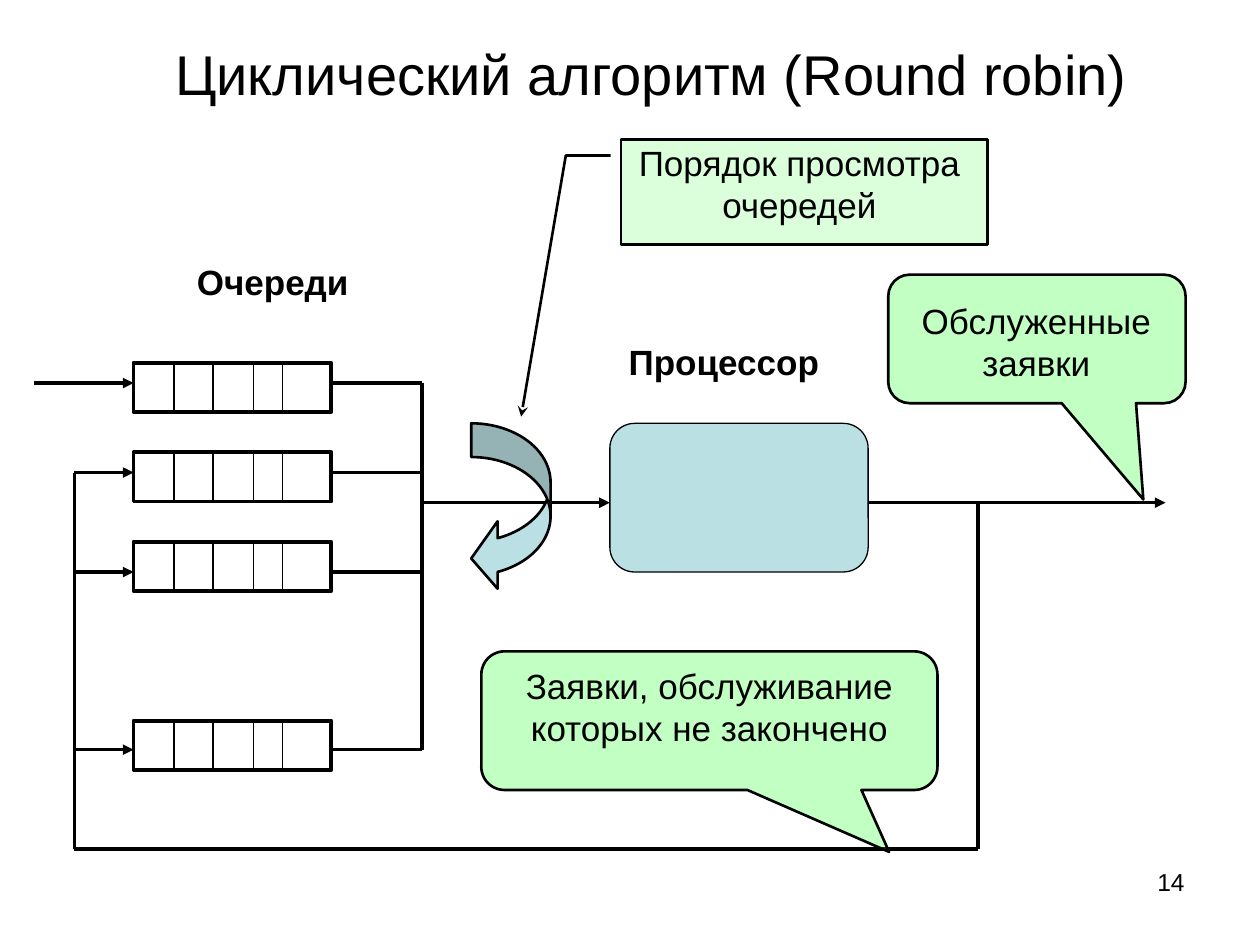
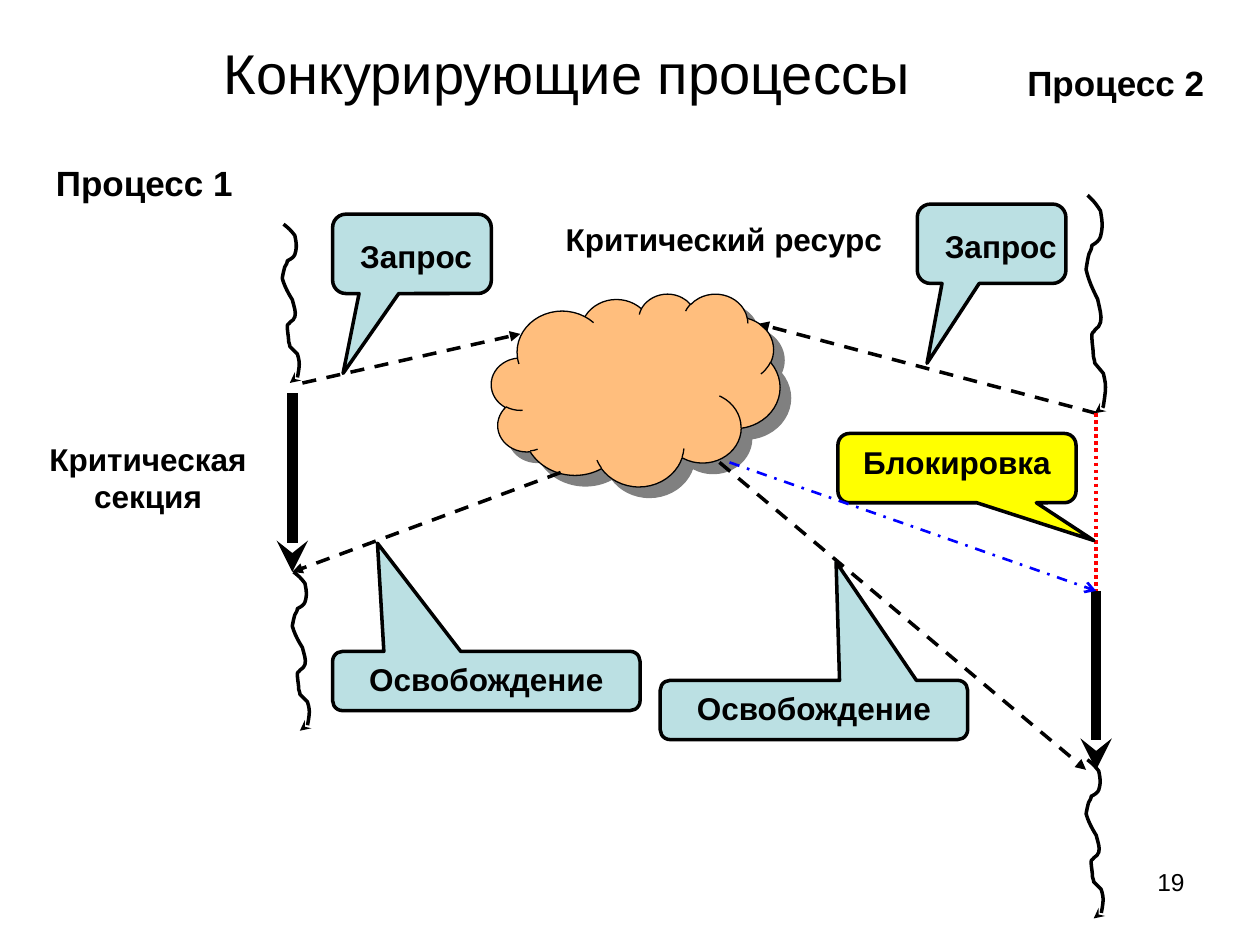
from dataclasses import dataclass
from typing import Any, NamedTuple

from lxml.etree import SubElement
from pptx import Presentation
from pptx.dml.color import RGBColor
from pptx.enum.dml import MSO_LINE as Dash
from pptx.enum.shapes import MSO_CONNECTOR as Conn, MSO_SHAPE as Geo
from pptx.enum.text import MSO_ANCHOR as Anchor, PP_ALIGN as Align
from pptx.oxml.ns import qn
from pptx.util import Inches, Pt

BLACK, BLUE, RED = "000000", "0000FF", "FF0000"
AQUA, GREEN, YELLOW, PEACH, GREY = "BBE0E3", "00FF00", "FFFF00", "FFBE7D", "808080"
FONT = "Arial"

QUEUE_LEFT, QUEUE_WIDTH, QUEUE_HEIGHT = 1.06, 1.57, 0.39
QUEUE_RIGHT = QUEUE_LEFT + QUEUE_WIDTH
CELL_EDGES = (1.38, 1.69, 2.01, 2.24)
MERGE_X, RETURN_X, BRANCH_X = 3.35, 0.59, 7.76
CPU_Y, RETURN_Y = 3.99, 6.74

WAVE_WIDTH, WAVE_HEIGHT, WAVE_STEPS = 14, 126, 6
WAVE_START = (1, 0)
WAVE_CURVES = (
    ((5, 3), (7, 5), (10, 9)), ((11, 14), (12, 18), (10, 24)),
    ((9, 27), (4, 29), (4, 29)), ((4, 31), (3, 32), (2, 34)),
    ((1, 37), (0, 43), (0, 43)), ((2, 50), (5, 55), (8, 60)),
    ((10, 68), (13, 74), (6, 78)), ((6, 79), (4, 79), (4, 81)),
    ((4, 85), (5, 89), (5, 92)), ((5, 94), (6, 95), (6, 97)),
    ((8, 99), (12, 103), (12, 103)), ((14, 110), (14, 111), (12, 122)),
    ((11, 125), (6, 126), (6, 126)),
)


class Box(NamedTuple):
    x: float
    y: float
    w: float
    h: float


class Queue(NamedTuple):
    top: float
    wire: float


QUEUES = (Queue(2.88, 3.04), Queue(3.59, 3.75), Queue(4.3, 4.54), Queue(5.72, 5.95))


@dataclass
class Label:
    text: str
    box: Box
    size: float = 20
    bold: bool = True
    align: Any = Align.CENTER
    wrap: bool = True


@dataclass
class Figure:
    geo: Any
    box: Box
    adj: tuple = ()
    fill: str = ""
    alpha: int = 100
    width: float = 2
    text: str = ""
    size: float = 18
    bold: bool = True
    tail: str = ""


@dataclass
class Wire:
    start: tuple
    end: tuple
    width: float = 2
    color: str = BLACK
    dash: Any = None
    tail: str = ""


def rgb(color: str) -> RGBColor:
    """Turn a hex string into a colour."""
    return RGBColor.from_string(color)


def inches(*values: float) -> list:
    """Turn numbers into lengths."""
    return [Inches(v) for v in values]


def apply(obj: Any, values: dict) -> None:
    """Set the attributes named in a dict."""
    for name, value in values.items():
        setattr(obj, name, value)


def write(tf: Any, text: str, size: float, bold: bool, align: Any,
          wrap: bool = True, anchor: Any = Anchor.TOP) -> None:
    """Fill a text frame with one formatted paragraph."""
    apply(tf, {"word_wrap": wrap, "vertical_anchor": anchor})
    p = tf.paragraphs[0]
    p.alignment = align
    r = p.add_run()
    r.text = text
    apply(r.font, {"name": FONT, "size": Pt(size), "bold": bold})
    r.font.color.rgb = rgb(BLACK)


def stroke(sp: Any, width: float, color: str = BLACK, dash: Any = None,
           tail: str = "") -> None:
    """Format an outline and its arrowhead."""
    sp.line.color.rgb = rgb(color)
    apply(sp.line, {"width": Pt(width), "dash_style": dash})
    if tail:
        SubElement(sp._element.spPr.find(qn("a:ln")), qn("a:tailEnd"), type=tail)


def draw_label(slide: Any, label: Label) -> None:
    """Add a text box."""
    s = slide.shapes.add_textbox(*inches(*label.box))
    write(s.text_frame, label.text, label.size, label.bold, label.align, label.wrap)


def draw_figure(shapes: Any, fig: Figure) -> Any:
    """Add a preset shape with its fill, outline and text."""
    sp = shapes.add_shape(fig.geo, *inches(*fig.box))
    sp.shadow.inherit = False
    for i, value in enumerate(fig.adj):
        sp.adjustments[i] = value
    if fig.fill:
        sp.fill.solid()
        sp.fill.fore_color.rgb = rgb(fig.fill)
    else:
        sp.fill.background()
    if fig.alpha < 100:
        clr = sp._element.spPr.find(qn("a:solidFill")).find(qn("a:srgbClr"))
        SubElement(clr, qn("a:alpha"), val=str(fig.alpha * 1000))
    stroke(sp, fig.width, tail=fig.tail)
    if fig.text:
        write(sp.text_frame, fig.text, fig.size, fig.bold, Align.CENTER)
    return sp


def draw_wire(shapes: Any, wire: Wire) -> None:
    """Add a straight line or arrow."""
    s = shapes.add_connector(Conn.STRAIGHT, *inches(*wire.start, *wire.end))
    stroke(s, wire.width, wire.color, wire.dash, wire.tail)
    SubElement(s._element.spPr, qn("a:effectLst"))


def draw_queue(slide: Any, queue: Queue) -> None:
    """Add a queue divided into cells."""
    shapes = slide.shapes.add_group_shape().shapes
    box = Box(QUEUE_LEFT, queue.top, QUEUE_WIDTH, QUEUE_HEIGHT)
    draw_figure(shapes, Figure(Geo.RECTANGLE, box, width=2.25))
    for x in CELL_EDGES:
        draw_wire(shapes, Wire((x, queue.top), (x, queue.top + QUEUE_HEIGHT), 0.75))


def wave_points() -> list:
    """Sample the cubic curves of a wavy arrow."""
    points = [WAVE_START]
    for a, b, c in WAVE_CURVES:
        start = points[-1]
        for step in range(1, WAVE_STEPS + 1):
            t = step / WAVE_STEPS
            u = 1 - t
            points.append(tuple(
                u**3 * k0 + 3 * u * u * t * k1 + 3 * u * t * t * k2 + t**3 * k3
                for k0, k1, k2, k3 in zip(start, a, b, c)))
    return points


def draw_wave(slide: Any, box: Box) -> None:
    """Add a wavy arrow that fills a box."""
    points = [inches(box.x + x * box.w / WAVE_WIDTH, box.y + y * box.h / WAVE_HEIGHT)
              for x, y in wave_points()]
    fb = slide.shapes.build_freeform(*points[0])
    fb.add_line_segments(points[1:], close=False)
    sp = fb.convert_to_shape()
    sp.shadow.inherit = False
    sp.fill.background()
    stroke(sp, 2, tail="stealth")


def draw_cloud(slide: Any) -> None:
    """Add the shared resource as a cloud with a hard shadow."""
    sp = draw_figure(slide.shapes, Figure(
        Geo.CLOUD, Box(3.9, 2.33, 2.29, 1.53), fill=PEACH, width=0.75))
    shadow = SubElement(sp._element.spPr.find(qn("a:effectLst")), qn("a:outerShdw"),
                        dist=str(Pt(8.5)), dir="2700000", algn="ctr", rotWithShape="0")
    SubElement(shadow, qn("a:srgbClr"), val=GREY)


def add_slide(prs: Any, title: str, box: Box, number: str) -> Any:
    """Add a slide with its title and number."""
    slide = prs.slides.add_slide(prs.slide_layouts[5])
    s = slide.shapes.title
    apply(s, dict(zip(("left", "top", "width", "height"), inches(*box))))
    write(s.text_frame, title, 32, False, Align.CENTER, anchor=Anchor.MIDDLE)
    draw_label(slide, Label(number, Box(7.17, 6.83, 2.33, 0.52), 14, False, Align.RIGHT))
    return slide


def build_round_robin(prs: Any) -> None:
    """Build the round robin scheme."""
    slide = add_slide(prs, "Циклический алгоритм (Round robin)",
                      Box(0.67, 0.21, 9, 0.74), "14")
    shapes = slide.shapes
    draw_figure(shapes, Figure(
        Geo.LINE_CALLOUT_2, Box(4.93, 1.11, 2.91, 0.83),
        (0.15, -0.029, 0.15, -0.151, 2.648, -0.273), GREEN, 14, 1.5, tail="stealth"))
    draw_figure(shapes, Figure(Geo.ROUNDED_RECTANGLE, Box(4.84, 3.36, 2.05, 1.18),
                               (0.167,), AQUA, width=0.75))
    for i, queue in enumerate(QUEUES):
        draw_queue(slide, queue)
        draw_wire(shapes, Wire((QUEUE_RIGHT, queue.wire), (MERGE_X, queue.wire)))
        feed_x = RETURN_X if i else 0.27
        draw_wire(shapes, Wire((feed_x, queue.wire), (QUEUE_LEFT, queue.wire),
                               tail="triangle"))
    for wire in (
        Wire((MERGE_X, QUEUES[0].wire), (MERGE_X, QUEUES[-1].wire)),
        Wire((MERGE_X, CPU_Y), (4.84, CPU_Y), tail="triangle"),
        Wire((6.89, CPU_Y), (9.25, CPU_Y), tail="triangle"),
        Wire((BRANCH_X, CPU_Y), (BRANCH_X, RETURN_Y)),
        Wire((BRANCH_X, RETURN_Y), (RETURN_X, RETURN_Y)),
        Wire((RETURN_X, RETURN_Y), (RETURN_X, QUEUES[1].wire)),
    ):
        draw_wire(shapes, wire)
    for fig in (
        Figure(Geo.ROUNDED_RECTANGULAR_CALLOUT, Box(7.05, 2.18, 2.36, 1.02),
               (0.358, 1.249, 0.167), GREEN, 24, 1.5),
        Figure(Geo.ROUNDED_RECTANGULAR_CALLOUT, Box(3.82, 5.17, 3.62, 1.1),
               (0.394, 0.947, 0.167), GREEN, 24, 1.5,
               "Заявки, обслуживание которых не закончено", 20, False),
        Figure(Geo.CURVED_LEFT_ARROW, Box(3.74, 3.36, 0.63, 1.34),
               (0.425, 0.85, 0.333), AQUA, width=1.5),
    ):
        draw_figure(shapes, fig)
    for label in (
        Label("Очереди", Box(1.3, 2.02, 1.73, 0.43)),
        Label("Процессор", Box(4.84, 2.65, 1.81, 0.43)),
        Label("Обслуженные заявки", Box(7.2, 2.33, 2.05, 0.77), bold=False),
        Label("Порядок просмотра очередей", Box(4.61, 1.07, 3.47, 0.77), bold=False),
    ):
        draw_label(slide, label)


def build_competing(prs: Any) -> None:
    """Build the scheme of two competing processes."""
    slide = add_slide(prs, "Конкурирующие процессы", Box(0, 0.3, 9, 0.54), "19")
    shapes = slide.shapes
    for box in (Box(2.24, 1.78, 0.14, 1.26), Box(2.32, 4.54, 0.14, 1.26),
                Box(8.62, 1.55, 0.16, 1.73), Box(8.62, 6.03, 0.14, 1.26)):
        draw_wave(slide, box)
    draw_cloud(slide)
    for wire in (
        Wire((2.4, 3.04), (4.13, 2.65), dash=Dash.DASH, tail="triangle"),
        Wire((2.32, 3.12), (2.32, 4.54), 6, tail="stealth"),
        Wire((4.45, 3.75), (2.32, 4.54), dash=Dash.DASH, tail="triangle"),
        Wire((8.7, 3.28), (6.02, 2.57), dash=Dash.DASH, tail="triangle"),
        Wire((8.7, 4.69), (8.7, 6.11), 6, tail="stealth"),
        Wire((5.71, 3.67), (8.62, 6.11), dash=Dash.DASH, tail="triangle"),
        Wire((8.7, 3.28), (8.7, 4.69), color=RED, dash=Dash.ROUND_DOT),
    ):
        draw_wire(shapes, wire)
    for box, tip, fill, text in (
        (Box(2.64, 1.7, 1.26, 0.63), (-0.434, 1.506), AQUA, ""),
        (Box(7.28, 1.62, 1.18, 0.63), (-0.434, 1.506), AQUA, ""),
        (Box(2.64, 5.17, 2.44, 0.47), (-0.354, -2.327), AQUA, "Освобождение"),
        (Box(5.24, 5.4, 2.44, 0.47), (0.072, -2.5), AQUA, "Освобождение"),
        (Box(6.65, 3.44, 1.89, 0.55), (0.575, 1.046), YELLOW, "Блокировка"),
    ):
        draw_figure(shapes, Figure(Geo.ROUNDED_RECTANGULAR_CALLOUT, box,
                                   (*tip, 0.167), fill, text=text))
    draw_wire(shapes, Wire((5.79, 3.67), (8.7, 4.69), 1.5, BLUE, Dash.DASH_DOT, "arrow"))
    for label in (
        Label("Процесс 1", Box(0.2, 1.23, 1.89, 0.43)),
        Label("Процесс 2", Box(7.91, 0.44, 1.89, 0.43)),
        Label("Критический ресурс", Box(4.29, 1.7, 2.91, 0.4), 18),
        Label("Критическая секция", Box(0.27, 3.44, 1.81, 0.7), 18),
        Label("Запрос", Box(2.76, 1.83, 1.09, 0.4), 18, align=Align.LEFT, wrap=False),
        Label("Запрос", Box(7.4, 1.75, 1.09, 0.4), 18, align=Align.LEFT, wrap=False),
    ):
        draw_label(slide, label)


def main() -> None:
    """Build and save the presentation."""
    prs = Presentation()
    apply(prs, {"slide_width": Inches(10), "slide_height": Inches(7.5)})
    build_round_robin(prs)
    build_competing(prs)
    prs.save("out.pptx")


if __name__ == "__main__":
    main()
